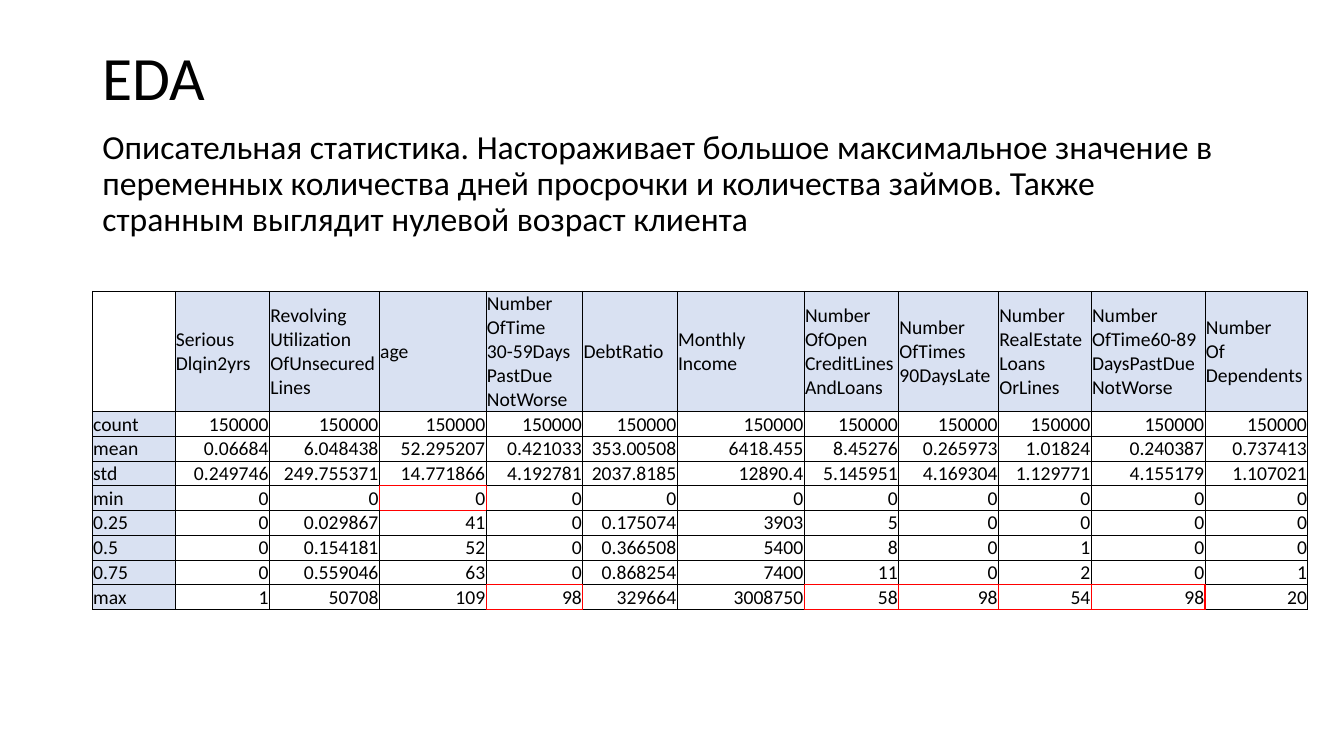
"""Build the EDA slide with its table of descriptive statistics."""
import copy
import dataclasses

import lxml.etree
import pptx
import pptx.dml.color
import pptx.enum.text
import pptx.oxml.ns
import pptx.util

Pt = pptx.util.Pt
Align = pptx.enum.text.PP_ALIGN
Anchor = pptx.enum.text.MSO_ANCHOR
qn = pptx.oxml.ns.qn


@dataclasses.dataclass(frozen=True)
class Theme:
    """Font, type sizes and colours of the slide."""
    font: str = "Calibri"
    title_size: float = 44
    body_size: float = 24
    table_size: float = 14
    text: str = "000000"
    header_fill: str = "D9E1F2"
    grid: str = "000000"
    alert: str = "FF0000"


THEME = Theme()
TITLE = "EDA"
SUMMARY = ("Описательная статистика. Настораживает большое максимальное значение в "
           "переменных количества дней просрочки и количества займов. Также "
           "странным выглядит нулевой возраст клиента")
VARIABLES = [
    "", "Serious\nDlqin2yrs", "Revolving\nUtilization\nOfUnsecured\nLines", "age",
    "Number\nOfTime\n30-59Days\nPastDue\nNotWorse", "DebtRatio", "Monthly\nIncome",
    "Number\nOfOpen\nCreditLines\nAndLoans", "Number\nOfTimes\n90DaysLate",
    "Number\nRealEstate\nLoans\nOrLines",
    "Number\nOfTime60-89\nDaysPastDue\nNotWorse", "Number\nOf\nDependents",
]
STATISTICS = [
    ["count"] + ["150000"] * 11,
    ["mean", "0.06684", "6.048438", "52.295207", "0.421033", "353.00508", "6418.455",
     "8.45276", "0.265973", "1.01824", "0.240387", "0.737413"],
    ["std", "0.249746", "249.755371", "14.771866", "4.192781", "2037.8185", "12890.4",
     "5.145951", "4.169304", "1.129771", "4.155179", "1.107021"],
    ["min"] + ["0"] * 11,
    ["0.25", "0", "0.029867", "41", "0", "0.175074", "3903", "5", "0", "0", "0", "0"],
    ["0.5", "0", "0.154181", "52", "0", "0.366508", "5400", "8", "0", "1", "0", "0"],
    ["0.75", "0", "0.559046", "63", "0", "0.868254", "7400", "11", "0", "2", "0", "1"],
    ["max", "1", "50708", "109", "98", "329664", "3008750", "58", "98", "54", "98", "20"],
]
COLUMN_WIDTHS = [59, 67.5, 78.5, 76.3, 69, 67.5, 90.7, 67.5, 71.3, 66.3, 81.3, 73.4]
HEADER_HEIGHT, ROW_HEIGHT = 86, 17.6
SUSPICIOUS = {(4, 3), (8, 4), (8, 7), (8, 8), (8, 9), (8, 10)}
EDGES = {"L": (0, -1), "R": (0, 1), "T": (-1, 0), "B": (1, 0)}


def write_text(frame, text, *, size, align=Align.LEFT, line_spacing=None, space_before=None):
    """Write one formatted paragraph, keeping its line breaks."""
    paragraph = frame.paragraphs[0]
    paragraph.text = text
    paragraph.alignment = align
    paragraph.line_spacing = line_spacing
    paragraph.space_before = space_before
    for run in paragraph.runs:
        run.font.name = THEME.font
        run.font.size = Pt(size)
        run.font.color.rgb = pptx.dml.color.RGBColor.from_string(THEME.text)
    for line_break in paragraph._p.findall(qn("a:br")):
        line_break.insert(0, copy.deepcopy(paragraph.runs[0].font._element))
    return paragraph


def fill_placeholder(placeholder, text, *, top, height, anchor, **text_format):
    """Place a template placeholder and write its text without a bullet."""
    placeholder.left, placeholder.top = Pt(66), Pt(top)
    placeholder.width, placeholder.height = Pt(828), Pt(height)
    frame = placeholder.text_frame
    frame.word_wrap = True
    frame.auto_size = pptx.enum.text.MSO_AUTO_SIZE.NONE
    frame.vertical_anchor = anchor
    properties = write_text(frame, text, line_spacing=0.9, **text_format)._p.get_or_add_pPr()
    properties.set("marL", "0")
    properties.set("indent", "0")
    lxml.etree.SubElement(properties, qn("a:buNone"))


def draw_borders(cell, row, column):
    """Draw the cell's edges, in the alert colour around suspicious values."""
    properties = cell._tc.get_or_add_tcPr()
    for side, (down, across) in EDGES.items():
        alert = bool({(row, column), (row + down, column + across)} & SUSPICIOUS)
        line = lxml.etree.SubElement(properties, qn(f"a:ln{side}"), w=str(Pt(1 if alert else 0.5)))
        fill = lxml.etree.SubElement(line, qn("a:solidFill"))
        lxml.etree.SubElement(fill, qn("a:srgbClr"), val=THEME.alert if alert else THEME.grid)


def format_cell(cell, text, row, column):
    """Write one cell with its borders, insets and fill."""
    is_label = row == 0 or column == 0
    draw_borders(cell, row, column)
    cell.margin_left = cell.margin_right = cell.margin_top = Pt(0.6)
    cell.margin_bottom = Pt(0)
    cell.vertical_anchor = Anchor.MIDDLE
    if is_label and text:
        cell.fill.solid()
        cell.fill.fore_color.rgb = pptx.dml.color.RGBColor.from_string(THEME.header_fill)
    else:
        cell.fill.background()
    write_text(cell.text_frame, text, size=THEME.table_size,
               align=Align.LEFT if is_label else Align.RIGHT)


def add_statistics_table(slide):
    """Add the table of statistics for each variable."""
    rows = [VARIABLES] + STATISTICS
    heights = [HEADER_HEIGHT] + [ROW_HEIGHT] * len(STATISTICS)
    table = slide.shapes.add_table(len(rows), len(VARIABLES), Pt(66), Pt(208),
                                   Pt(sum(COLUMN_WIDTHS)), Pt(sum(heights))).table
    table.first_row = table.horz_banding = False
    for column, width in zip(table.columns, COLUMN_WIDTHS):
        column.width = Pt(width)
    for row_index, (height, texts) in enumerate(zip(heights, rows)):
        table.rows[row_index].height = Pt(height)
        for column_index, text in enumerate(texts):
            format_cell(table.cell(row_index, column_index), text, row_index, column_index)


def main():
    """Build and save the presentation."""
    presentation = pptx.Presentation()
    presentation.slide_width, presentation.slide_height = Pt(960), Pt(540)
    slide = presentation.slides.add_slide(presentation.slide_layouts[1])
    fill_placeholder(slide.shapes.title, TITLE, top=5.5, height=104.5,
                     anchor=Anchor.MIDDLE, size=THEME.title_size)
    fill_placeholder(slide.placeholders[1], SUMMARY, top=89.5, height=342.5,
                     anchor=Anchor.TOP, size=THEME.body_size, space_before=Pt(10))
    add_statistics_table(slide)
    presentation.save("out.pptx")


main()
